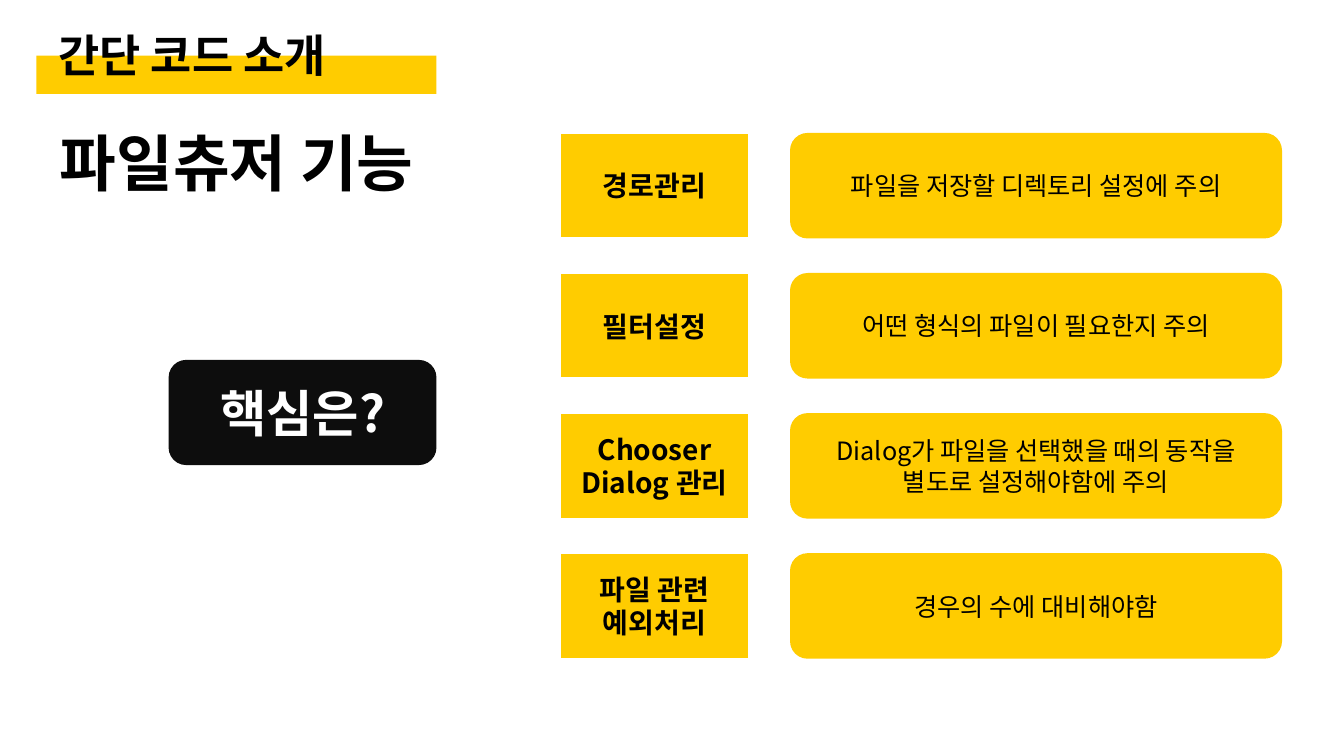
from lxml.etree import SubElement
from pptx import Presentation
from pptx.dml.color import RGBColor
from pptx.enum.shapes import MSO_SHAPE as Shape
from pptx.enum.text import MSO_ANCHOR as Anchor, MSO_AUTO_SIZE as Fit, PP_ALIGN as Align
from pptx.oxml.ns import qn
from pptx.util import Cm, Pt

HEADER = "간단 코드 소개"
TITLE = "파일츄저 기능"
QUESTION = "핵심은?"
POINTS = [
    (["경로관리"], "파일을 저장할 디렉토리 설정에 주의"),
    (["필터설정"], "어떤 형식의 파일이 필요한지 주의"),
    (["Chooser", "Dialog 관리"], "Dialog가 파일을 선택했을 때의 동작을 별도로 설정해야함에 주의"),
    (["파일 관련", "예외처리"], "경우의 수에 대비해야함"),
]

THEME = {
    "font": "Noto Sans CJK KR",
    "yellow": RGBColor(0xFF, 0xCC, 0x00),
    "black": RGBColor(0, 0, 0),
    "dark": RGBColor(0x0D, 0x0D, 0x0D),
    "white": RGBColor(0xFF, 0xFF, 0xFF),
    "header": {"size": Pt(32), "bold": True},
    "title": {"size": Pt(44), "bold": True},
    "question": {"size": Pt(36), "bold": True},
    "label": {"size": Pt(20), "bold": True},
    "detail": {"size": Pt(18), "bold": False},
}

TOP, PITCH, ROW_H = 3.35, 3.53, 2.66
LABEL_X, LABEL_W = 14.12, 4.75
DETAIL_X, DETAIL_W = 19.91, 12.4


def write(sp, lines, style, color="black", align=Align.CENTER, **frame):
    tf = sp.text_frame
    for name, value in {"word_wrap": True, **frame}.items():
        setattr(tf, name, value)
    for i, line in enumerate(lines):
        p = tf.add_paragraph() if i else tf.paragraphs[0]
        p.alignment = align
        r = p.add_run()
        r.text = line
        for name, value in {"name": THEME["font"], **THEME[style]}.items():
            setattr(r.font, name, value)
        r.font.color.rgb = THEME[color]
        SubElement(r.font._element, qn("a:ea"), typeface=THEME["font"])


def box(shapes, kind, area, fill="yellow", line=None):
    sp = shapes.add_shape(kind, *map(Cm, area))
    sp.shadow.inherit = False
    sp.fill.solid()
    sp.fill.fore_color.rgb = THEME[fill]
    if line:
        sp.line.color.rgb = THEME[line]
        sp.line.width = Pt(1.5)
    else:
        sp.line.fill.background()
    return sp


def text_box(shapes, area, text, style, **frame):
    sp = shapes.add_textbox(*map(Cm, area))
    write(sp, [text], style, auto_size=Fit.SHAPE_TO_FIT_TEXT, **frame)


def main():
    prs = Presentation()
    prs.slide_width, prs.slide_height = Cm(33.87), Cm(19.05)
    s = prs.slides.add_slide(prs.slide_layouts[6])

    heading = s.shapes.add_group_shape().shapes
    box(heading, Shape.RECTANGLE, (0.92, 1.4, 10.08, 0.97))
    text_box(heading, (1.22, 0.58, 7.6, 1.62), HEADER, "header",
             align=Align.LEFT, word_wrap=False)

    for i, (label, detail) in enumerate(POINTS):
        y = TOP + i * PITCH
        sp = box(s.shapes, Shape.RECTANGLE, (LABEL_X, y, LABEL_W, ROW_H), line="white")
        write(sp, label, "label", vertical_anchor=Anchor.MIDDLE)
        sp = box(s.shapes, Shape.ROUNDED_RECTANGLE, (DETAIL_X, y, DETAIL_W, ROW_H))
        write(sp, [detail], "detail", vertical_anchor=Anchor.MIDDLE)

    sp = box(s.shapes, Shape.ROUNDED_RECTANGLE, (4.25, 9.07, 6.75, 2.65), fill="dark")
    write(sp, [QUESTION], "question", color="white", vertical_anchor=Anchor.MIDDLE)
    text_box(s.shapes, (-2.16, 3.02, 16.26, 2.14), TITLE, "title")

    prs.save("out.pptx")


if __name__ == "__main__":
    main()
